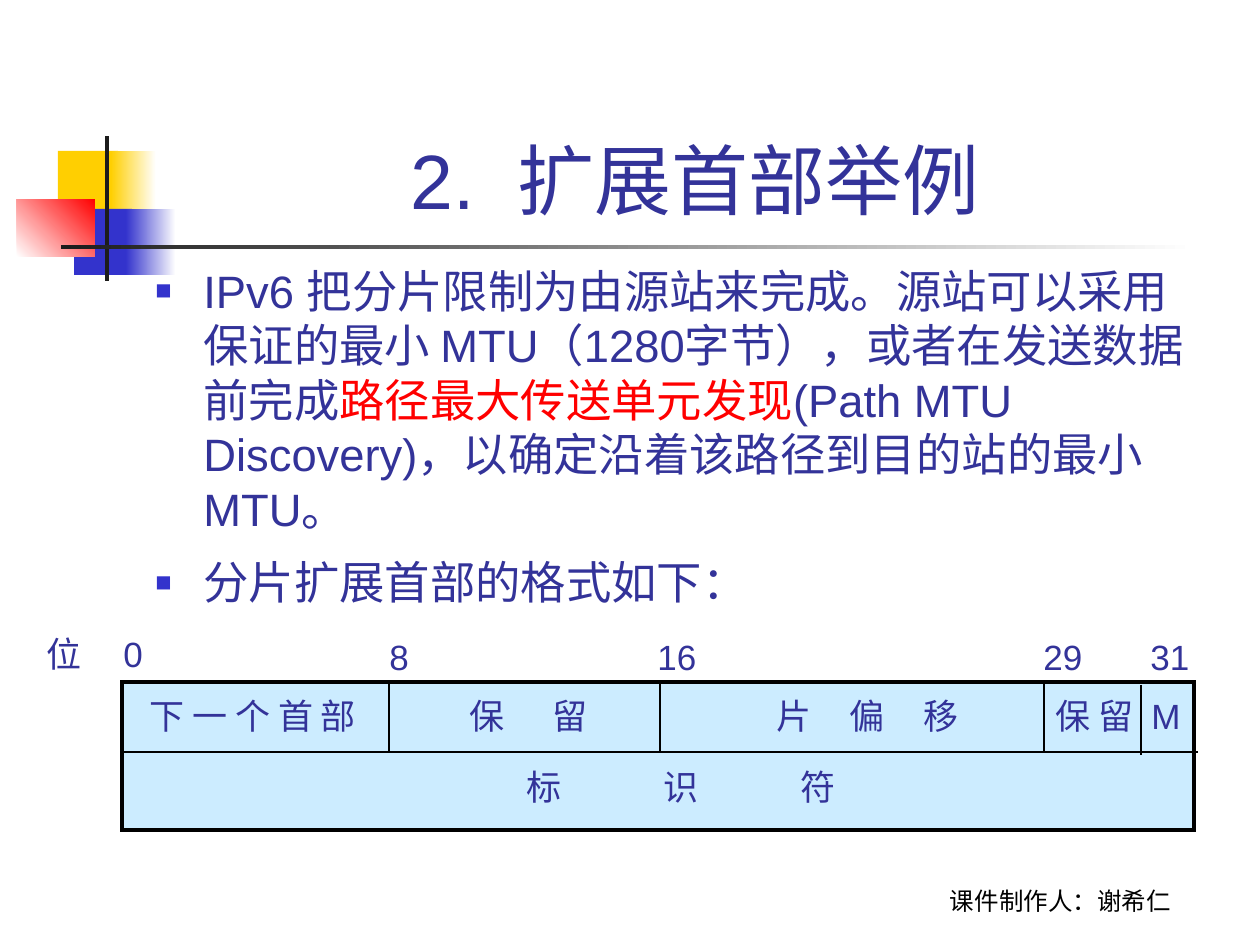
from dataclasses import dataclass
from lxml import etree
from pptx import Presentation
from pptx.dml.color import RGBColor as RGB
from pptx.enum.shapes import MSO_CONNECTOR as CON, MSO_SHAPE as GEO
from pptx.enum.text import MSO_ANCHOR as ANC, PP_ALIGN as AL
from pptx.oxml.ns import qn
from pptx.util import Pt

UNIT = 914400 / 126


@dataclass(frozen=True)
class Theme:
    font: str = "Arial"
    foot: str = "Karla"
    ink: str = "333399"
    red: str = "FF0000"
    gold: str = "FFCF01"
    blue: str = "3333CC"
    dark: str = "1C1C1C"
    black: str = "000000"
    white: str = "FFFFFF"
    pale: str = "CCECFF"
    head: float = 44
    body: float = 25.9
    label: float = 20
    note: float = 14


T = Theme()

DECOR = [
    ((58, 151, 60, 66), T.gold, None, 0),
    ((111, 151, 45, 66), T.gold, T.white, 0),
    ((74, 209, 58, 66), T.blue, None, 0),
    ((126, 209, 50, 66), T.blue, T.white, 0),
    ((17, 199, 78, 58), T.white, T.red, 45),
    ((105, 136, 4, 145), T.dark, None, 0),
    ((61, 245, 1134, 4), T.dark, T.white, 0),
]
TITLE = [("2.", 0), (" ", 12), ("扩展首部举例", 0)]
POINTS = [
    [("IPv6 把分片限制为由源站来完成。源站可以采用保证的最小 MTU（1280字节），或者在发送数据前完成", T.ink),
     ("路径最大传送单元发现", T.red),
     ("(Path MTU Discovery)，以确定沿着该路径到目的站的最小 MTU。", T.ink)],
    [("分片扩展首部的格式如下：", T.ink)],
]
CREDIT = "课件制作人：谢希仁"
FRAME = (122, 682, 1072, 148)
RULES = [(123, 752, 1198, 752), (389, 683, 389, 753), (660, 683, 660, 753),
         (1044, 682, 1044, 752), (1141, 685, 1141, 755)]
BITS = [("位", 34, 626, 60), ("0", 111, 626, 44), ("8", 377, 629, 44),
        ("16", 645, 629, 64), ("29", 1031, 629, 64), ("31", 1138, 629, 64)]
FIELDS = [("下 一 个 首 部", 137, 688, 232, 0), ("保 留", 457, 688, 190, 11.5),
          ("片 偏 移", 764, 688, 250, 8.75), ("保 留", 1043, 688, 103, 0),
          ("M", 1139, 688, 54, 0), ("标 识 符", 514, 759, 420, 26.9)]

deck = Presentation()
deck.slide_width, deck.slide_height = int(1260 * UNIT), int(945 * UNIT)
slide = deck.slides.add_slide(deck.slide_layouts[6])
shapes = slide.shapes


def emu(box):
    return [round(n * UNIT) for n in box]


def block(box, tone, fade=None, angle=0):
    item = shapes.add_shape(GEO.RECTANGLE, *emu(box))
    item.shadow.inherit = False
    item.line.fill.background()
    if fade:
        item.fill.gradient()
        item.fill.gradient_angle = angle
        for stop, color in zip(item.fill.gradient_stops, (tone, fade)):
            stop.color.rgb = RGB.from_string(color)
    else:
        item.fill.solid()
        item.fill.fore_color.rgb = RGB.from_string(tone)
    return item


def rule(ends):
    item = shapes.add_connector(CON.STRAIGHT, *emu(ends))
    item.line.width = Pt(1)
    item.line.color.rgb = RGB.from_string(T.black)
    etree.SubElement(item._element.spPr, qn("a:effectLst"))


def frame(box, wrap=True, anchor=ANC.TOP):
    area = shapes.add_textbox(*emu(box)).text_frame
    area.word_wrap = wrap
    area.vertical_anchor = anchor
    return area


def add_run(para, text, size, color=T.ink, font=T.font, gap=0):
    run = para.add_run()
    run.text = text
    run.font.size = Pt(size)
    run.font.name = font
    run.font.color.rgb = RGB.from_string(color)
    if gap:
        run.font._element.set("spc", str(round(gap * 100)))


def bullet(para):
    props = para._p.get_or_add_pPr()
    indent = round(48 * UNIT)
    props.set("marL", str(indent))
    props.set("indent", str(-indent))
    tone = etree.SubElement(props, qn("a:buClr"))
    etree.SubElement(tone, qn("a:srgbClr"), val=T.blue)
    etree.SubElement(props, qn("a:buSzPct"), val="60000")
    etree.SubElement(props, qn("a:buFont"), typeface=T.font)
    etree.SubElement(props, qn("a:buChar"), char="■")


def label(text, left, top, width, gap=0):
    para = frame((left, top, width, 54), wrap=False).paragraphs[0]
    para.alignment = AL.LEFT
    if gap:
        add_run(para, text[:-1], T.label, gap=gap)
    add_run(para, text[-1] if gap else text, T.label)


for part in DECOR:
    block(*part)

para = frame((861, 859, 399, 63), anchor=ANC.BOTTOM).paragraphs[0]
para.alignment = AL.CENTER
add_run(para, CREDIT, T.note, T.black, T.foot)

para = frame((159, 29, 1073, 202), anchor=ANC.BOTTOM).paragraphs[0]
para.alignment = AL.CENTER
for text, gap in TITLE:
    add_run(para, text, T.head, gap=gap)

area = frame((143, 257, 1071, 384))
for index, point in enumerate(POINTS):
    para = area.add_paragraph() if index else area.paragraphs[0]
    if index:
        para.space_before = Pt(11)
    bullet(para)
    for text, color in point:
        add_run(para, text, T.body, color)

table = block(FRAME, T.pale)
table.line.color.rgb = RGB.from_string(T.black)
table.line.width = Pt(2.25)
etree.SubElement(table._element.spPr.find(qn("a:ln")), qn("a:miter"), lim="800000")
for ends in RULES:
    rule(ends)
for item in BITS + FIELDS:
    label(*item)

deck.save("out.pptx")
